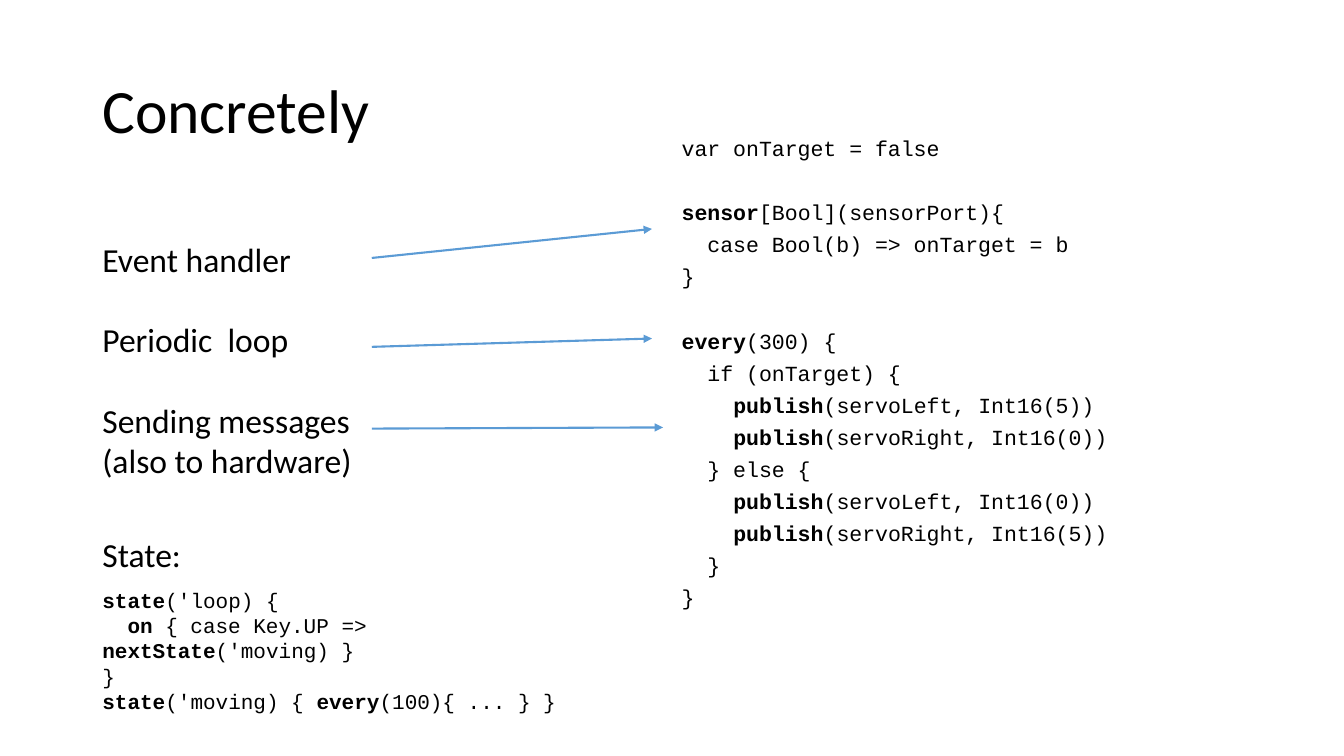
from pptx import Presentation
from pptx.dml.color import RGBColor
from pptx.enum.shapes import MSO_CONNECTOR
from pptx.enum.text import MSO_ANCHOR
from pptx.oxml.ns import qn
from pptx.util import Cm, Pt
from lxml import etree

LINE = MSO_CONNECTOR.STRAIGHT
TOP, MID = MSO_ANCHOR.TOP, MSO_ANCHOR.MIDDLE
SANS, MONO = "Calibri", "Courier New"
INK, BLUE = "000000", "5B9BD5"

TITLE = [(0, ["Concretely"])]
LABELS = [
    (0, ["Event handler"]),
    (28.75, ["Periodic  loop"]),
    (28.75, ["Sending messages"]),
    (0, ["(also to hardware)"]),
    (38.5, ["State:"]),
]
STEP, GAP = 10, 33
CODE = [
    (0, ["var onTarget = false"]),
    (GAP, ["*sensor", "[Bool](sensorPort){"]),
    (STEP, ["  case Bool(b) => onTarget = b"]),
    (STEP, ["}"]),
    (GAP, ["*every", "(300) {"]),
    (STEP, ["  if (onTarget) {"]),
    (STEP, ["    ", "*publish", "(servoLeft, Int16(5))"]),
    (STEP, ["    ", "*publish", "(servoRight, Int16(0))"]),
    (STEP, ["  } else {"]),
    (STEP, ["    ", "*publish", "(servoLeft, Int16(0))"]),
    (STEP, ["    ", "*publish", "(servoRight, Int16(5))"]),
    (STEP, ["  }"]),
    (STEP, ["}"]),
]
STATE = [
    (0, ["*state", "('loop) {"]),
    (0, ["  ", "*on", " { case Key.UP => ", "*nextState", "('moving) }"]),
    (0, ["}"]),
    (0, ["*state", "('moving) { ", "*every", "(100){ ... } }"]),
]
LEFT = 2.33
BOXES = [
    (TITLE, (LEFT, 1.01, 29.21, 3.68), SANS, 44, 0.9, MID),
    (CODE, (16.93, 3.45, 14.4, 12.09), MONO, 15.4, 0.7, TOP),
    (LABELS, (LEFT, 5.89, 11.68, 8.81), SANS, 24, 1, TOP),
    (STATE, (LEFT, 14.68, 13.16, 2.82), MONO, 15, 1, TOP),
]
TAIL = 9.37
ARROWS = [(6.5, 16.43, 5.77), (8.74, 16.43, 8.53), (10.8, 16.71, 10.77)]


def color(text):
    return RGBColor.from_string(text)


def write(slide, lines, area, face, size, pitch, anchor):
    frame = slide.shapes.add_textbox(*map(Cm, area)).text_frame
    frame.word_wrap = True
    frame.vertical_anchor = anchor
    for i, (gap, parts) in enumerate(lines):
        para = frame.add_paragraph() if i else frame.paragraphs[0]
        para.line_spacing = float(pitch)
        para.space_before = Pt(gap)
        for part in parts:
            run = para.add_run()
            run.text = part.removeprefix("*")
            font = run.font
            font.name, font.size = face, Pt(size)
            font.bold = part.startswith("*")
            font.color.rgb = color(INK)


def arrow(slide, start, right, end):
    link = slide.shapes.add_connector(LINE, Cm(TAIL), Cm(start), Cm(right), Cm(end))
    link.line.color.rgb = color(BLUE)
    link.line.width = Pt(1.5)
    etree.SubElement(link.line._get_or_add_ln(), qn("a:tailEnd"), type="triangle")
    etree.SubElement(link._element.spPr, qn("a:effectLst"))


def main():
    deck = Presentation()
    deck.slide_width, deck.slide_height = Cm(33.87), Cm(19.05)
    slide = deck.slides.add_slide(deck.slide_layouts[6])
    for box in BOXES:
        write(slide, *box)
    for spot in ARROWS:
        arrow(slide, *spot)
    deck.save("out.pptx")


if __name__ == "__main__":
    main()
